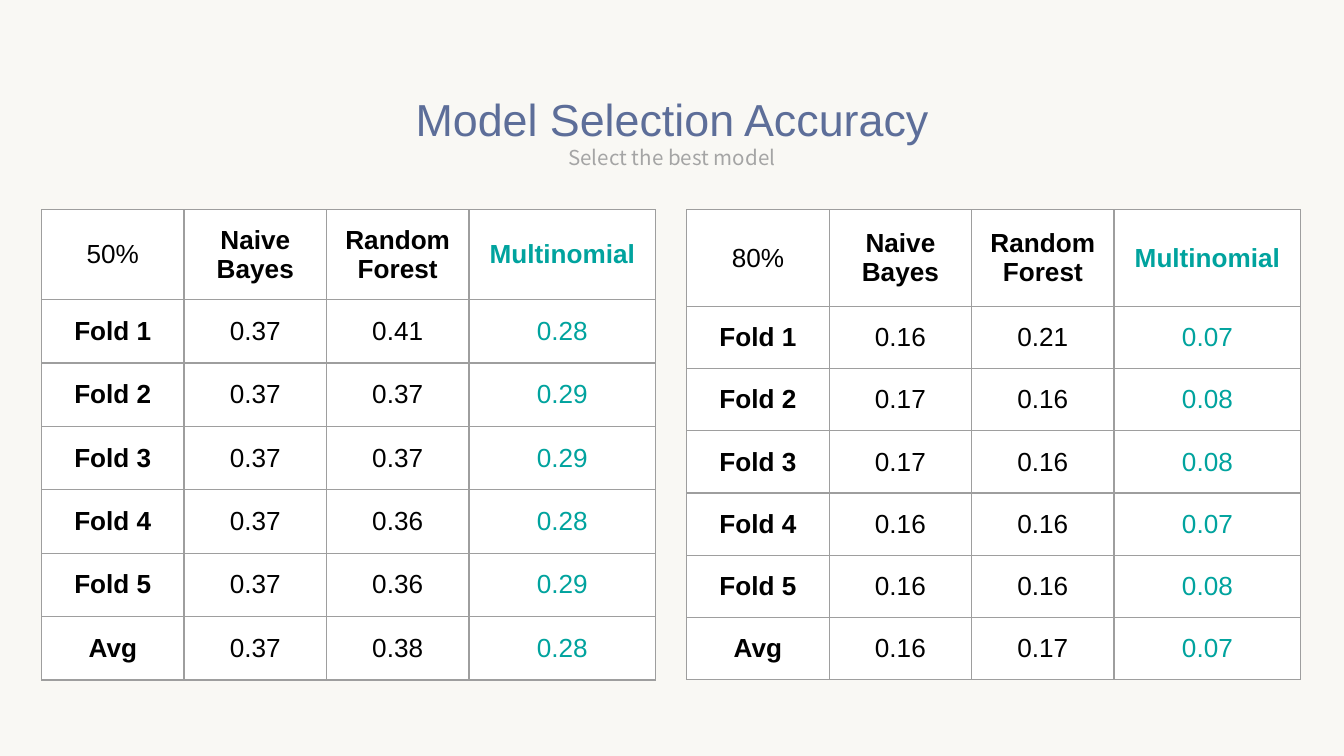
from lxml import etree
from pptx import Presentation
from pptx import util as u
from pptx.dml.color import RGBColor
from pptx.enum import text
from pptx.oxml.ns import qn

SLIDE_WIDTH = 10
SLIDE_HEIGHT = SLIDE_WIDTH * 9 / 16
FONT = "Arial"
BACKGROUND, BLACK, WHITE = "F9F8F4", "000000", "FFFFFF"
BLUE, GREY, TEAL, BORDER = "5D6E99", "A5A5A5", "00A39E", "9E9E9E"

# wording, top, width, height, size, font, colour, line spacing
HEADINGS = [
    ("Select the best model", 1.04, 2.14, 0.26, 11, "Noto Sans CJK SC", GREY, 1.0),
    ("Model Selection Accuracy", 0.56, 4.28, 0.48, 24, FONT, BLUE, 1.2),
]

MODELS = ["Naive Bayes", "Random Forest", "Multinomial"]
FOLDS = ["Fold 1", "Fold 2", "Fold 3", "Fold 4", "Fold 5", "Avg"]
COLUMN_WIDTHS = [1.06, 1.06, 1.06, 1.39]
TABLE_TOP, TABLE_HEIGHT = 1.56, 3.5

# share of the data, left, header height, one row of accuracies per fold
TABLES = [
    ("50%", 0.31, 0.67, [
        ("0.37", "0.41", "0.28"),
        ("0.37", "0.37", "0.29"),
        ("0.37", "0.37", "0.29"),
        ("0.37", "0.36", "0.28"),
        ("0.37", "0.36", "0.29"),
        ("0.37", "0.38", "0.28"),
    ]),
    ("80%", 5.11, 0.72, [
        ("0.16", "0.21", "0.07"),
        ("0.17", "0.16", "0.08"),
        ("0.17", "0.16", "0.08"),
        ("0.16", "0.16", "0.07"),
        ("0.16", "0.16", "0.08"),
        ("0.16", "0.17", "0.07"),
    ]),
]


def color(value):
    return RGBColor.from_string(value)


def write(text_frame, words, size, font, fill, bold=False, spacing=None):
    """Put one centred paragraph into the frame."""
    text_frame.text = words
    text_frame.word_wrap = True
    paragraph = text_frame.paragraphs[0]
    paragraph.alignment = text.PP_ALIGN.CENTER
    paragraph.line_spacing = spacing
    run_font = paragraph.runs[0].font
    run_font.size, run_font.name, run_font.bold = u.Pt(size), font, bold
    run_font.color.rgb = color(fill)


def add_heading(slide, words, top, width, height, size, font, fill, spacing):
    left = (SLIDE_WIDTH - width) / 2
    box = slide.shapes.add_textbox(*map(u.Inches, (left, top, width, height)))
    frame = box.text_frame
    frame.margin_left = frame.margin_right = u.Inches(0.07)
    frame.margin_top = frame.margin_bottom = u.Inches(0.04)
    write(frame, words, size, font, fill, spacing=spacing)


def set_borders(cell):
    properties = cell._tc.get_or_add_tcPr()
    for position, side in enumerate(("a:lnL", "a:lnR", "a:lnT", "a:lnB")):
        line = etree.Element(qn(side), w=str(u.Pt(0.75)))
        fill = etree.SubElement(line, qn("a:solidFill"))
        etree.SubElement(fill, qn("a:srgbClr"), val=BORDER)
        properties.insert(position, line)


def add_accuracy_table(slide, share, left, header_height, accuracies):
    rows = [[share, *MODELS]]
    rows += [[fold, *values] for fold, values in zip(FOLDS, accuracies)]
    place = map(u.Inches, (left, TABLE_TOP, sum(COLUMN_WIDTHS), TABLE_HEIGHT))
    table = slide.shapes.add_table(len(rows), len(COLUMN_WIDTHS), *place).table
    table.first_row = table.horz_banding = False
    for column, width in zip(table.columns, COLUMN_WIDTHS):
        column.width = u.Inches(width)
    fold_height = (TABLE_HEIGHT - header_height) / len(FOLDS)
    for r, row in enumerate(rows):
        table.rows[r].height = u.Inches(fold_height if r else header_height)
        for c, words in enumerate(row):
            cell = table.cell(r, c)
            cell.fill.solid()
            cell.fill.fore_color.rgb = color(WHITE)
            cell.vertical_anchor = text.MSO_ANCHOR.MIDDLE
            cell.margin_left = cell.margin_right = u.Inches(0.1)
            cell.margin_top = cell.margin_bottom = u.Inches(0.1)
            is_label = (r == 0) != (c == 0)
            fill = TEAL if c == len(MODELS) else BLACK
            write(cell.text_frame, words, 14, FONT, fill, bold=is_label)
            set_borders(cell)


def main():
    presentation = Presentation()
    presentation.slide_width = u.Inches(SLIDE_WIDTH)
    presentation.slide_height = u.Inches(SLIDE_HEIGHT)
    slide = presentation.slides.add_slide(presentation.slide_layouts[6])
    slide.background.fill.solid()
    slide.background.fill.fore_color.rgb = color(BACKGROUND)
    for heading in HEADINGS:
        add_heading(slide, *heading)
    for table in TABLES:
        add_accuracy_table(slide, *table)
    presentation.save("out.pptx")


if __name__ == "__main__":
    main()
